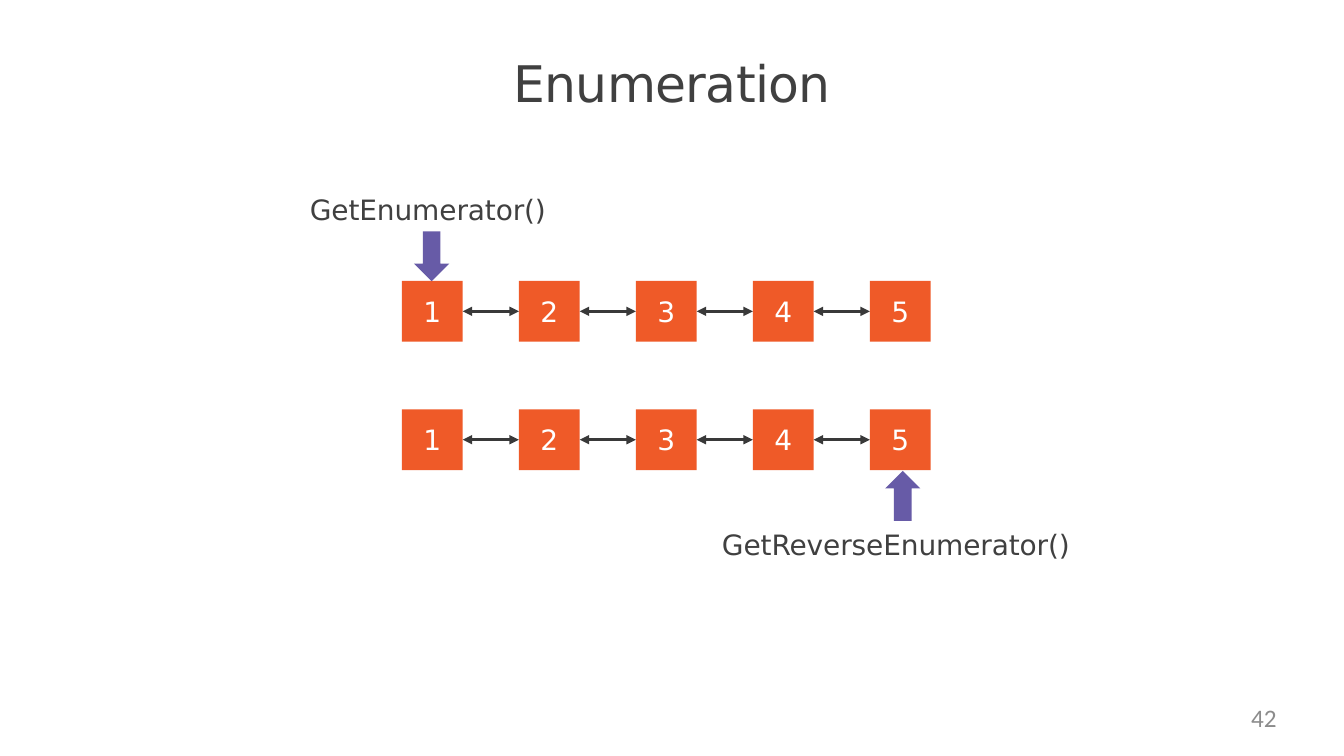
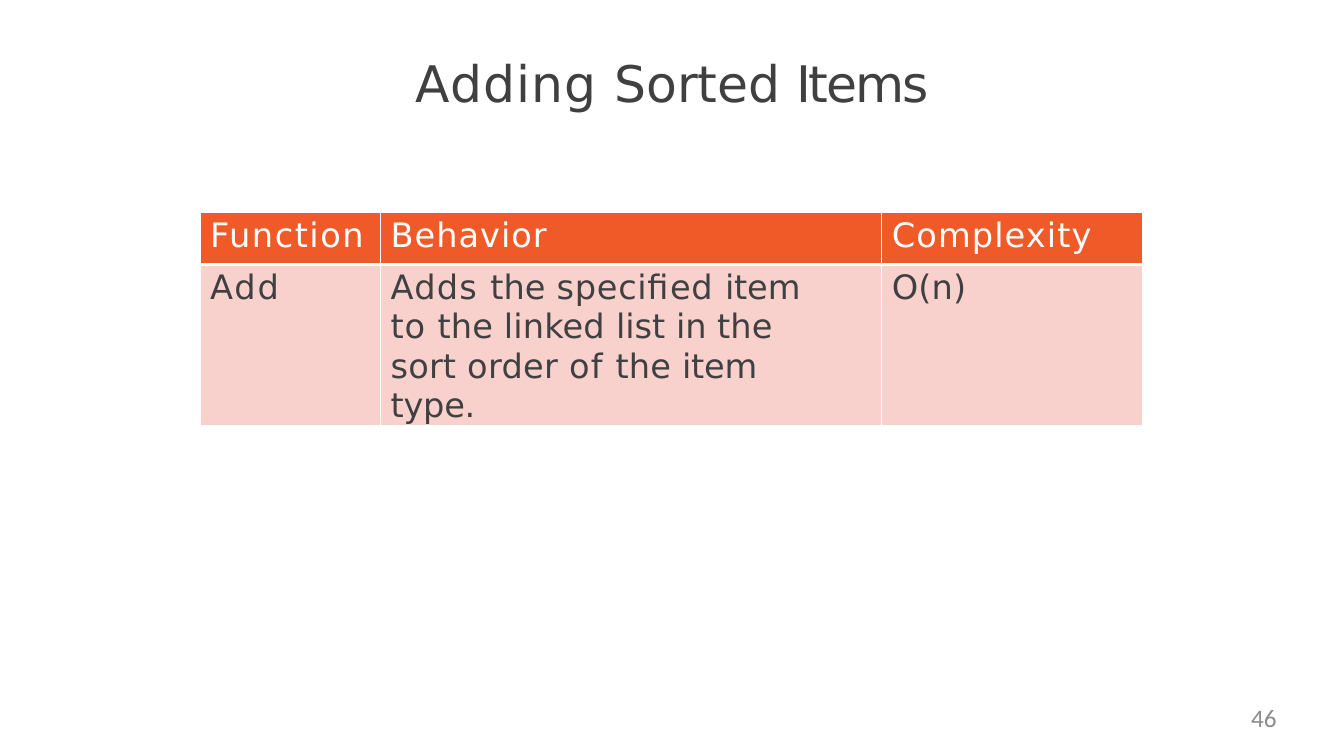
import pptx
import pptx.dml.color
import pptx.enum.shapes
import pptx.enum.text
import pptx.oxml.xmlchemy
import pptx.util

Pt = pptx.util.Pt
RGB = pptx.dml.color.RGBColor.from_string
OxmlElement = pptx.oxml.xmlchemy.OxmlElement
SHAPE = pptx.enum.shapes.MSO_SHAPE
ALIGN = pptx.enum.text.PP_ALIGN
ANCHOR = pptx.enum.text.MSO_ANCHOR

COLORS = {
    "text": "404040",
    "node": "EF5A28",
    "pointer": "675BA7",
    "link": "393939",
    "row": "F8D1CD",
    "number": "8C8C8C",
    "white": "FFFFFF",
}
BODY_FONT = "DejaVu Sans"
SLIDE_W, SLIDE_H = 960, 540


def write(tf, runs, size, color="text", font=BODY_FONT, align=ALIGN.LEFT,
          top=0, wrap=False, anchor=ANCHOR.TOP):
    frame = {
        "margin_left": 0, "margin_right": 0, "margin_top": Pt(top), "margin_bottom": 0,
        "word_wrap": wrap, "vertical_anchor": anchor,
        "auto_size": pptx.enum.text.MSO_AUTO_SIZE.NONE,
    }
    for name, value in frame.items():
        setattr(tf, name, value)
    p = tf.paragraphs[0]
    p.alignment = align
    for text, spacing in runs:
        r = p.add_run()
        r.text = text
        for name, value in {"size": Pt(size), "name": font, "bold": False}.items():
            setattr(r.font, name, value)
        r.font.color.rgb = RGB(COLORS[color])
        r.font._element.set("spc", str(round(spacing * 100)))


def add_filled(s, kind, left, top, width, height, color):
    sp = s.shapes.add_shape(kind, Pt(left), Pt(top), Pt(width), Pt(height))
    sp.shadow.inherit = False
    sp.fill.solid()
    sp.fill.fore_color.rgb = RGB(COLORS[color])
    sp.line.fill.background()
    return sp


prs = pptx.Presentation()
prs.slide_width, prs.slide_height = Pt(SLIDE_W), Pt(SLIDE_H)

pages = [
    ([("Enumeration", -0.5)], 232, "42"),
    ([("Adding ", 0.8), ("Sorted ", -0.1), ("Items", -1.6)], 372, "46"),
]
slides = []
for title_runs, title_w, number in pages:
    s = prs.slides.add_slide(prs.slide_layouts[5])
    title = s.shapes.title
    place = {"left": (SLIDE_W - title_w) / 2, "top": 34.5, "width": title_w, "height": 45.5}
    for name, value in place.items():
        setattr(title, name, Pt(value))
    write(title.text_frame, title_runs, 36, align=ALIGN.CENTER, top=3)
    sp = s.shapes.add_textbox(Pt(691), Pt(502), Pt(221), Pt(27))
    write(sp.text_frame, [(number, 0)], 18, "number", "Calibri", ALIGN.RIGHT, wrap=True)
    slides.append(s)

s = slides[0]
NODE, PITCH, NODE_LEFT = 43.4, 83.57, 287.1
digits = [("1", -4.8), ("2", -0.5), ("3", -0.3), ("4", 0.9), ("5", -0.2)]
for row_top in (200.7, 292.4):
    for i, digit in enumerate(digits):
        left = NODE_LEFT + i * PITCH
        sp = add_filled(s, SHAPE.RECTANGLE, left, row_top, NODE, NODE, "node")
        write(sp.text_frame, [digit], 20, "white", align=ALIGN.CENTER, anchor=ANCHOR.MIDDLE)
        if i == len(digits) - 1:
            continue
        y = Pt(row_top + NODE / 2)
        link = s.shapes.add_connector(
            pptx.enum.shapes.MSO_CONNECTOR.STRAIGHT, Pt(left + NODE), y, Pt(left + PITCH), y)
        link.line.width = Pt(2.28)
        link.line.color.rgb = RGB(COLORS["link"])
        ln = link.line._get_or_add_ln()
        for tag in ("a:headEnd", "a:tailEnd"):
            end = OxmlElement(tag)
            end.set("type", "triangle")
            ln.append(end)
        link._element.spPr.append(OxmlElement("a:effectLst"))

pointers = [
    (SHAPE.DOWN_ARROW, 295.7, 165.2, "GetEnumerator()", 221.3, 135.4, 173.5),
    (SHAPE.UP_ARROW, 632.2, 336.3, "GetReverseEnumerator()", 515.7, 375, 253.5),
]
for kind, left, top, label, label_left, label_top, label_w in pointers:
    add_filled(s, kind, left, top, 25.2, 35.7, "pointer")
    sp = s.shapes.add_textbox(Pt(label_left), Pt(label_top), Pt(label_w), Pt(26))
    write(sp.text_frame, [(label, -0.1)], 20, top=2)

s = slides[1]
col_widths = [129, 358, 186]
row_heights = [37.5, 114.5]
behavior = [
    ("Adds ", 0.9), ("the ", 0.1), ("specified ", 0.5), ("item ", -0.1), ("to ", 0.6),
    ("the linked ", 0.1), ("list ", 0), ("in ", -0.1), ("the sort ", 0.1), ("order ", 0.2),
    ("of ", 0.8), ("the ", 0.1), ("item ", -0.1), ("type.", -0.2),
]
rows = [
    [[("Function", 1.1)], [("Behavior", 0.7)], [("Complexity", 0.8)]],
    [[("Add", 1.4)], behavior, [("O(n)", 0.1)]],
]
row_styles = [
    ("node", "white", {"L": 1, "R": 1, "T": 1, "B": 3}),
    ("row", "text", {"L": 1, "R": 1, "T": 3, "B": 1}),
]
table = s.shapes.add_table(
    len(rows), len(col_widths), Pt(142.9), Pt(151.4),
    Pt(sum(col_widths)), Pt(sum(row_heights))).table
for col, width in zip(table.columns, col_widths):
    col.width = Pt(width)
for i, (cells, (fill, color, borders)) in enumerate(zip(rows, row_styles)):
    table.rows[i].height = Pt(row_heights[i])
    for j, runs in enumerate(cells):
        cell = table.cell(i, j)
        write(cell.text_frame, runs, 24, color, wrap=True)
        margins = {"left": 7.2, "right": 44 if runs is behavior else 0, "top": 3, "bottom": 0}
        for side, value in margins.items():
            setattr(cell, "margin_" + side, Pt(value))
        tcPr = cell._tc.get_or_add_tcPr()
        for side, width in borders.items():
            ln = OxmlElement("a:ln" + side)
            ln.set("w", str(Pt(width)))
            solid = OxmlElement("a:solidFill")
            rgb = OxmlElement("a:srgbClr")
            rgb.set("val", COLORS["white"])
            solid.append(rgb)
            ln.append(solid)
            tcPr.append(ln)
        cell.fill.solid()
        cell.fill.fore_color.rgb = RGB(COLORS[fill])

prs.save("out.pptx")
